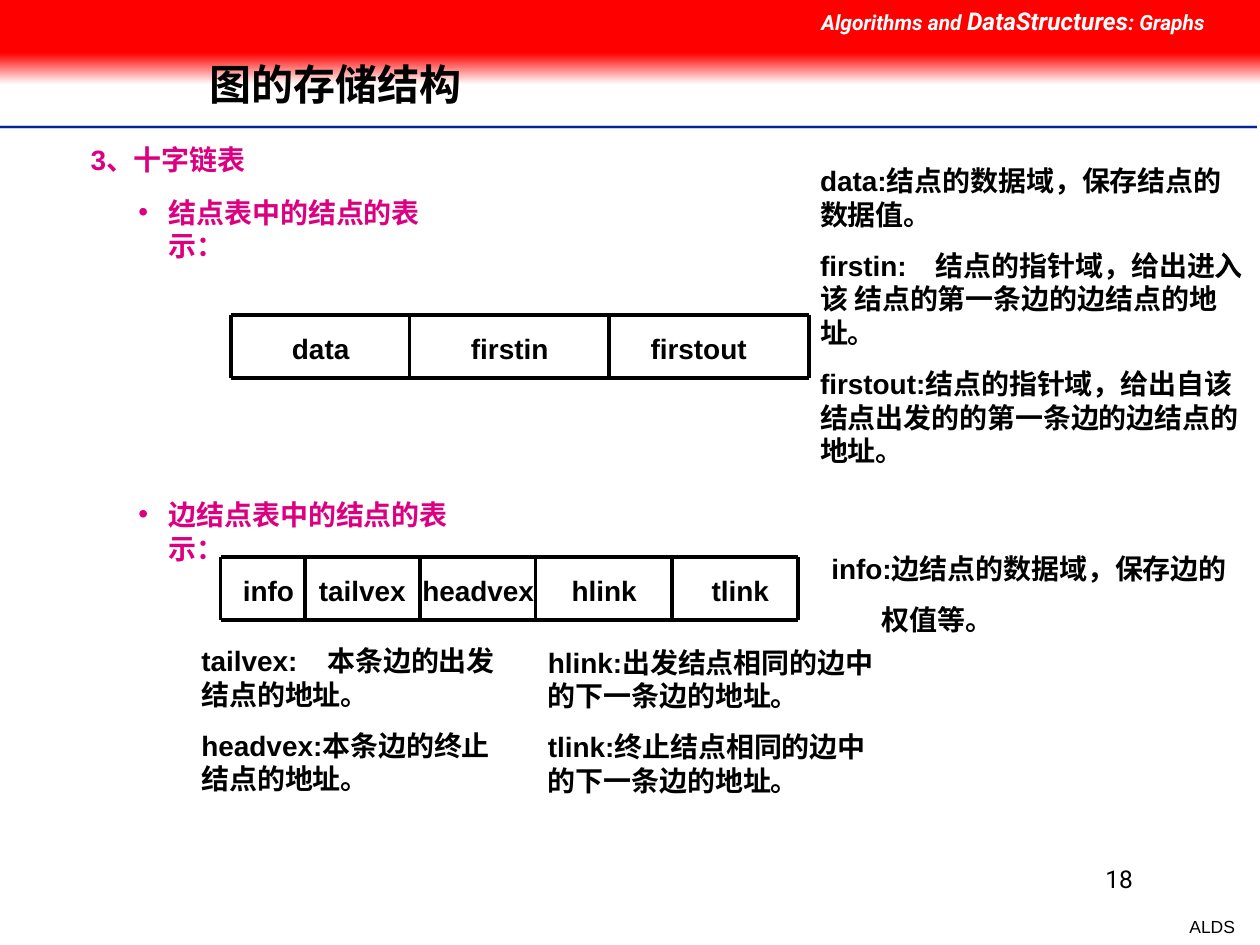
import pptx
import pptx.dml.color
import pptx.enum.shapes
import pptx.enum.text
import pptx.oxml.ns
import pptx.util
from lxml import etree
from pptx.util import Inches, Pt

ALIGN = pptx.enum.text.PP_ALIGN
ANCHOR = pptx.enum.text.MSO_ANCHOR
BLACK = "000000"
WHITE = "FFFFFF"
RED = "FF0000"
PINK = "DC0081"


def color(value):
    return pptx.dml.color.RGBColor.from_string(value)


def child(parent, tag, **attributes):
    return etree.SubElement(parent, pptx.oxml.ns.qn(tag), attributes)


def style(font, size=16, value=BLACK, name="Arial", bold=True, italic=False):
    font.size = Pt(size)
    font.name = name
    font.bold = bold
    font.italic = italic
    font.color.rgb = color(value)


def add_line(page, start, end, value=BLACK, width=2.25):
    points = [Inches(length) for length in (*start, *end)]
    line = page.shapes.add_connector(pptx.enum.shapes.MSO_CONNECTOR.STRAIGHT, *points)
    line.line.color.rgb = color(value)
    line.line.width = Pt(width)
    child(line._element.spPr, "a:effectLst")


def add_band(page, top, height):
    band = page.shapes.add_shape(
        pptx.enum.shapes.MSO_SHAPE.RECTANGLE, 0, Inches(top), Inches(10), Inches(height))
    band.shadow.inherit = False
    band.line.fill.background()
    return band


def add_text(page, place, lines, align=ALIGN.LEFT, wrap=True, **look):
    box = page.shapes.add_textbox(*[Inches(length) for length in place])
    frame = box.text_frame
    frame.word_wrap = wrap
    frame.text = "\n".join(lines)
    for index, para in enumerate(frame.paragraphs):
        para.alignment = align
        para.space_before = Pt(10 if index else 0)
        para._p.get_or_add_pPr().set("hangingPunct", "0")
        for span in para.runs:
            style(span.font, **look)
    return frame


def set_indent(para, margin, first=0):
    properties = para._p.get_or_add_pPr()
    properties.set("marL", str(Inches(margin)))
    properties.set("indent", str(Inches(first)))
    return properties


def add_tab(para, position):
    tabs = child(para._p.get_or_add_pPr(), "a:tabLst")
    child(tabs, "a:tab", pos=str(Inches(position)), algn="l")


def add_bullet(page, top, text):
    frame = add_text(page, (1, top, 2.75, 0.37), [text], value=PINK)
    properties = set_indent(frame.paragraphs[0], 0.24, -0.24)
    child(child(properties, "a:buClr"), "a:srgbClr", val=PINK)
    child(properties, "a:buFont", typeface="Arial")
    child(properties, "a:buChar", char="•")


def add_node(page, top, edges, labels):
    bottom = top + 0.5
    for y in (top, bottom):
        add_line(page, (edges[0], y), (edges[-1], y))
    for x in edges:
        add_line(page, (x, bottom), (x, top))
    for text, left, align in labels:
        add_text(page, (left, top + 0.08, 1.25, 0.37), [text], align)


def add_header(page):
    for y, value, width in ((1.01, "CECECE", 2), (1.01, "00279F", 1), (1.03, WHITE, 1)):
        add_line(page, (0, y), (9.98, y), value, width)
    fade = add_band(page, 0.42, 0.25).fill
    fade.gradient()
    fade.gradient_angle = 270
    for stop, value, position in zip(fade.gradient_stops, (RED, WHITE), (0, 1)):
        stop.color.rgb = color(value)
        stop.position = position
    solid = add_band(page, 0, 0.42).fill
    solid.solid()
    solid.fore_color.rgb = color(RED)

    frame = add_text(page, (6.42, 0, 3.58, 0.34), [""])
    for text, size in (("Algorithms and ", 12), ("DataStructures", 14), (": Graphs", 12)):
        span = frame.paragraphs[0].add_run()
        span.text = text
        style(span.font, size, WHITE, "Roboto", italic=True)


def add_title(page, text):
    title = page.shapes.title
    page.shapes._spTree.append(title._element)
    title.left, title.top = Inches(1.56), Inches(0.32)
    title.width, title.height = Inches(7.55), Inches(0.74)
    frame = title.text_frame
    frame.text = text
    frame.auto_size = pptx.enum.text.MSO_AUTO_SIZE.NONE
    frame.vertical_anchor = ANCHOR.MIDDLE
    para = frame.paragraphs[0]
    para.alignment = ALIGN.LEFT
    para.line_spacing = 0.9
    style(para.runs[0].font, 24)


def add_footer(page):
    add_text(page, (9.34, 7.22, 0.56, 0.27), ["ALDS"], ALIGN.RIGHT, False,
             size=10, bold=False)
    add_text(page, (7.17, 6.81, 1.92, 0.5), ["18"], ALIGN.RIGHT,
             size=14, name="Roboto", bold=False)


def add_explanations(page):
    fields = add_text(page, (6.41, 1.25, 3.58, 2.5), [
        "data:结点的数据域，保存结点的数据值。",
        "firstin:\t结点的指针域，给出进入该 结点的第一条边的边结点的地址。",
        "firstout:结点的指针域，给出自该结点出发的的第一条边的边结点的地址。"])
    add_tab(fields.paragraphs[1], 0.92)
    info = add_text(page, (6.5, 4.33, 3.58, 0.77),
                    ["info:边结点的数据域，保存边的", "权值等。"])
    set_indent(info.paragraphs[1], 0.4)
    vertices = add_text(page, (1.5, 5.06, 2.7, 1.31), [
        "tailvex:\t本条边的出发结点的地址。", "headvex:本条边的终止结点的地址。"])
    add_tab(vertices.paragraphs[0], 1)
    add_text(page, (4.25, 5.07, 2.83, 1.31), [
        "hlink:出发结点相同的边中的下一条边的地址。",
        "tlink:终止结点相同的边中的下一条边的地址。"])


def main():
    deck = pptx.Presentation()
    deck.slide_width, deck.slide_height = Inches(10), Inches(7.5)
    page = deck.slides.add_slide(deck.slide_layouts[5])
    add_header(page)
    add_title(page, "图的存储结构")
    heading = add_text(page, (0, 1.08, 7.58, 0.37), ["3、十字链表"], value=PINK)
    set_indent(heading.paragraphs[0], 0.62)
    add_bullet(page, 1.5, "结点表中的结点的表示：")
    add_node(page, 2.5, (1.83, 3.25, 4.83, 6.42), (
        ("data", 1.92, ALIGN.CENTER),
        ("firstin", 3.42, ALIGN.CENTER),
        ("firstout", 4.92, ALIGN.CENTER)))
    add_bullet(page, 3.9, "边结点表中的结点的表示：")
    add_node(page, 4.42, (1.75, 2.42, 3.33, 4.25, 5.33, 6.33), (
        ("info", 1.83, ALIGN.LEFT),
        ("tailvex", 2.25, ALIGN.CENTER),
        ("headvex", 3.17, ALIGN.CENTER),
        ("hlink", 4.17, ALIGN.CENTER),
        ("tlink", 5.25, ALIGN.CENTER)))
    add_explanations(page)
    add_footer(page)
    deck.save("out.pptx")


if __name__ == "__main__":
    main()
